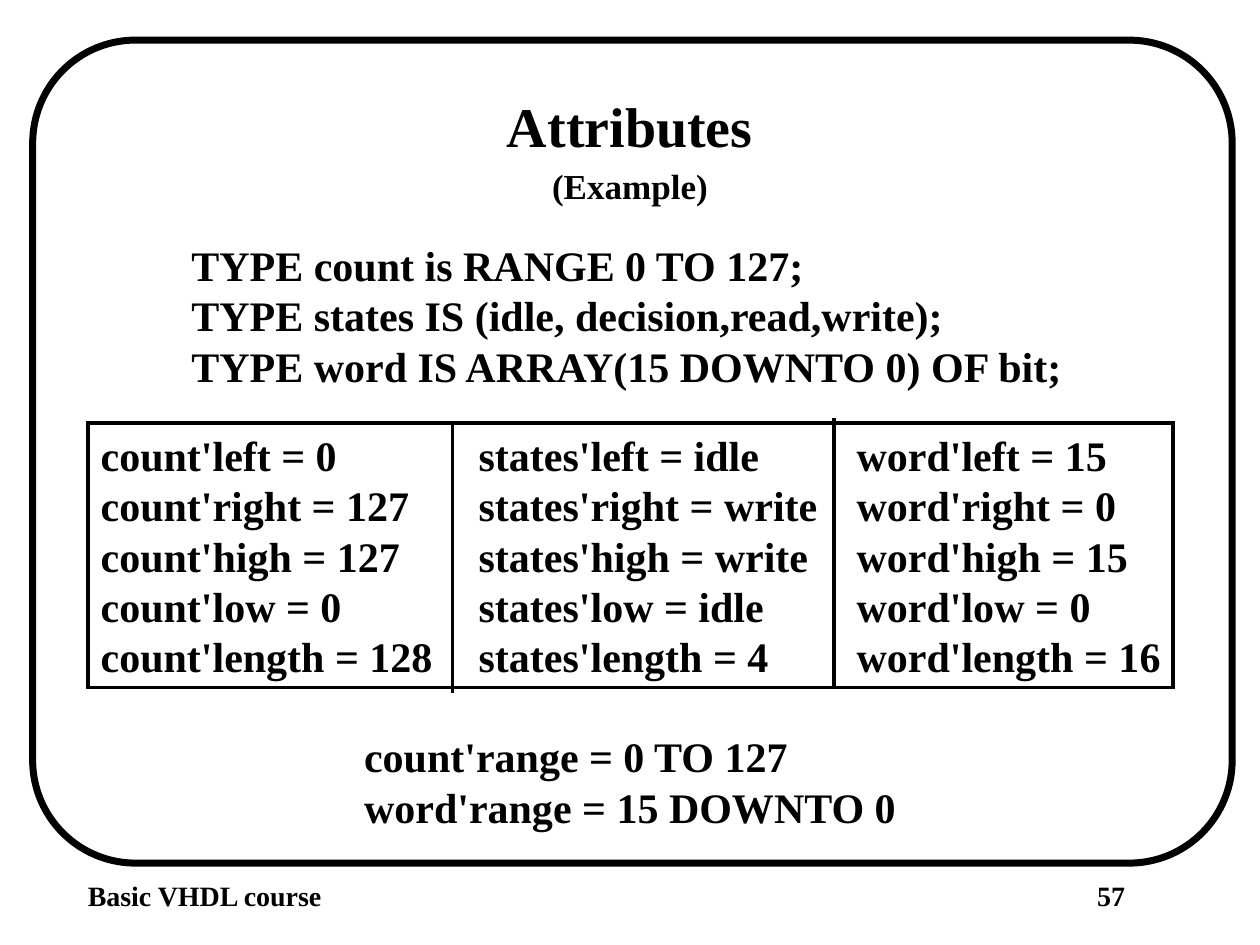
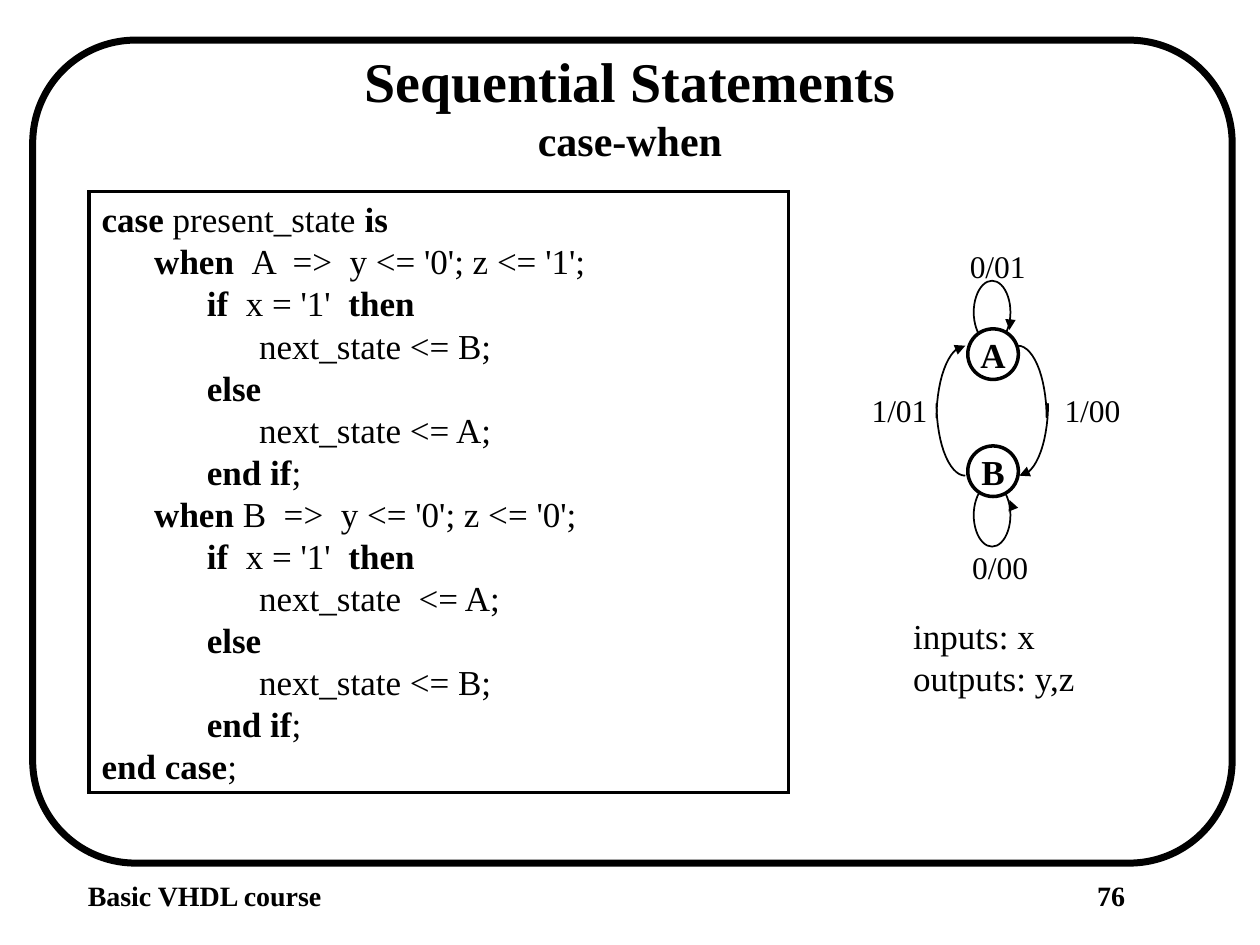
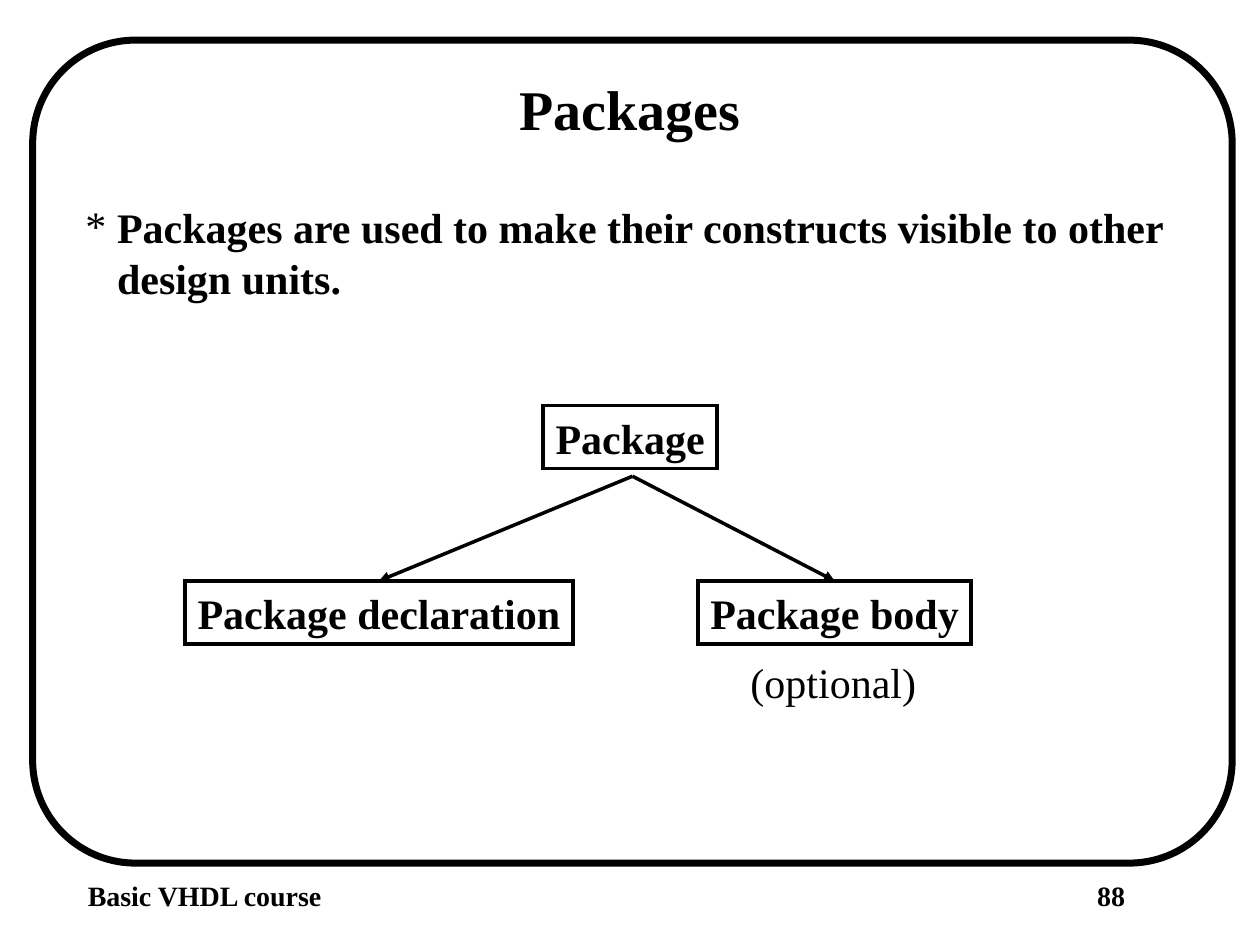
"""Builds three slides of a basic VHDL course: attributes, case-when and packages."""
from math import cos, radians, sin

from lxml import etree
from pptx import Presentation
from pptx.dml.color import RGBColor
from pptx.enum.shapes import MSO_CONNECTOR, MSO_SHAPE
from pptx.enum.text import MSO_ANCHOR, MSO_AUTO_SIZE, PP_ALIGN
from pptx.oxml.ns import qn
from pptx.util import Cm, Pt

STRAIGHT = MSO_CONNECTOR.STRAIGHT
RECTANGLE, ROUNDED, OVAL = MSO_SHAPE.RECTANGLE, MSO_SHAPE.ROUNDED_RECTANGLE, MSO_SHAPE.OVAL
LEFT, CENTER = PP_ALIGN.LEFT, PP_ALIGN.CENTER
MIDDLE = MSO_ANCHOR.MIDDLE
NO_AUTOFIT = MSO_AUTO_SIZE.NONE
FONT = "Times New Roman"
INK, PAPER = "000000", "FFFFFF"
SLIDE_WIDTH, SLIDE_HEIGHT = 25.4, 19.05


def write(shape, lines, size, bold=True, align=LEFT, wrap=False):
    """Fill a shape with lines; text between asterisks has the opposite weight."""
    frame = shape.text_frame
    frame.word_wrap = wrap
    frame.auto_size = NO_AUTOFIT
    frame.vertical_anchor = MIDDLE
    frame.margin_left = frame.margin_right = Cm(0.25)
    frame.margin_top = frame.margin_bottom = Cm(0.13)
    for number, line in enumerate(lines):
        paragraph = frame.add_paragraph() if number else frame.paragraphs[0]
        paragraph.alignment = align
        paragraph.space_before = Pt(0)
        for index, part in enumerate(line.split("*")):
            if part:
                run = paragraph.add_run()
                run.text = part
                run.font.name = FONT
                run.font.size = Pt(size)
                run.font.bold = bold != (index % 2 == 1)
                run.font.color.rgb = RGBColor.from_string(INK)


def outline(shape, width, fill=None, arrow=False):
    """Give a shape or connector a plain line, an optional fill and an arrowhead."""
    if fill:
        shape.fill.solid()
        shape.fill.fore_color.rgb = RGBColor.from_string(fill)
    elif hasattr(shape, "fill"):
        shape.fill.background()
    shape.line.color.rgb = RGBColor.from_string(INK)
    shape.line.width = Pt(width)
    properties = shape.element.spPr
    line = properties.find(qn("a:ln"))
    etree.SubElement(line, qn("a:miter"), lim="800000")
    if arrow:
        etree.SubElement(line, qn("a:tailEnd"), type="triangle")
    etree.SubElement(properties, qn("a:effectLst"))


presentation = Presentation()
presentation.slide_width, presentation.slide_height = Cm(SLIDE_WIDTH), Cm(SLIDE_HEIGHT)
TITLE_AND_BODY, TITLE_ONLY = presentation.slide_layouts[1], presentation.slide_layouts[5]

for layout, title, top, width, page in [
    (TITLE_ONLY, "Attributes", 1.73, 6.5, "57"),
    (TITLE_ONLY, "Sequential Statements", 0.81, 12.5, "76"),
    (TITLE_AND_BODY, "Packages", 1.37, 6, "88"),
]:
    slide = presentation.slides.add_slide(layout)
    heading = slide.shapes.title
    heading.left, heading.top = Cm((SLIDE_WIDTH - width) / 2), Cm(top)
    heading.width, heading.height = Cm(width), Cm(1.6)
    write(heading, [title], 32, align=CENTER)
    page_number = slide.shapes.add_textbox(Cm(21.87), Cm(17.6), Cm(3.05), Cm(0.91))
    write(page_number, [page], 16, wrap=True)

attributes, case_when, packages = presentation.slides

border = attributes.shapes.add_shape(ROUNDED, Cm(0.66), Cm(0.81), Cm(24.18), Cm(16.59))
border.adjustments[0] = 0.125
outline(border, 4)
footer = attributes.shapes.add_textbox(Cm(1.52), Cm(17.6), Cm(5.26), Cm(0.91))
write(footer, ["Basic VHDL course"], 16)
for shape_id, shared in enumerate([border, footer], start=100):
    shared.element.nvSpPr.cNvPr.set("id", str(shape_id))
    presentation.slide_master.shapes.element.append(shared.element)

declarations = [
    "TYPE count is RANGE 0 TO 127;",
    "TYPE states IS (idle, decision,read,write);",
    "TYPE word IS ARRAY(15 DOWNTO 0) OF bit;",
]
ranges = ["count'range = 0 TO 127", "word'range = 15 DOWNTO 0"]
signals = ["inputs: x", "outputs: y,z"]
for slide, left, top, width, height, lines, size, bold, align in [
    (attributes, 10.87, 3.2, 3.66, 1.09, ["(Example)"], 20, True, CENTER),
    (attributes, 3.61, 4.7, 18.21, 3.3, declarations, 24, True, LEFT),
    (attributes, 7.09, 14.6, 11.25, 2.29, ranges, 24, True, LEFT),
    (case_when, 10.59, 2.18, 4.22, 1.27, ["case-when"], 24, True, CENTER),
    (case_when, 21.21, 7.75, 1.63, 1.02, ["1/00"], 18, False, LEFT),
    (case_when, 17.32, 7.75, 1.63, 1.02, ["1/01"], 18, False, LEFT),
    (case_when, 19.3, 4.85, 1.63, 1.02, ["0/01"], 18, False, LEFT),
    (case_when, 19.35, 10.92, 1.63, 1.02, ["0/00"], 18, False, LEFT),
    (case_when, 18.16, 12.27, 3.81, 1.93, signals, 20, False, LEFT),
    (packages, 14.88, 13.11, 3.84, 1.27, ["(optional)"], 24, False, LEFT),
]:
    box = slide.shapes.add_textbox(Cm(left), Cm(top), Cm(width), Cm(height))
    write(box, lines, size, bold, align)

values = [
    "count'left = 0\tstates'left = idle\tword'left = 15",
    "count'right = 127\tstates'right = write\tword'right = 0",
    "count'high = 127\tstates'high = write\tword'high = 15",
    "count'low = 0\tstates'low = idle\tword'low = 0",
    "count'length = 128\tstates'length = 4\tword'length = 16",
]
value_box = attributes.shapes.add_shape(RECTANGLE, Cm(1.78), Cm(8.53), Cm(21.87), Cm(5.33))
outline(value_box, 2)
write(value_box, values, 24)
for paragraph in value_box.text_frame.paragraphs:
    tabs = etree.SubElement(paragraph._p.get_or_add_pPr(), qn("a:tabLst"))
    for position in (7.62, 15.24):
        etree.SubElement(tabs, qn("a:tab"), pos=str(Cm(position)), algn="l")
for x, top in [(9.12, 8.51), (16.81, 8.43)]:
    divider = attributes.shapes.add_connector(STRAIGHT, Cm(x), Cm(top), Cm(x), Cm(top + 5.46))
    outline(divider, 2)

code = [
    "*case* present_state *is*",
    "      *when  *A  =>  y <= '0'; z <= '1';",
    "            *if*  x = '1'  *then*",
    "                  next_state <= B;",
    "            *else*",
    "                  next_state <= A;",
    "            *end if*;",
    "      *when* B  =>  y <= '0'; z <= '0';",
    "            *if*  x = '1'  *then*",
    "                  next_state  <= A;",
    "            *else*",
    "                  next_state <= B;",
    "            *end if*;",
    "*end case*;",
]
code_box = case_when.shapes.add_shape(RECTANGLE, Cm(1.8), Cm(3.86), Cm(14.1), Cm(12.12))
outline(code_box, 2)
write(code_box, code, 20, bold=False, wrap=True)

for name, loop_top, state_top in [("A", 5.66, 6.63), ("B", 9.75, 8.99)]:
    loop = case_when.shapes.add_shape(OVAL, Cm(19.63), Cm(loop_top), Cm(0.74), Cm(1.27))
    outline(loop, 1)
    state = case_when.shapes.add_shape(OVAL, Cm(19.51), Cm(state_top), Cm(1.02), Cm(1.02))
    outline(state, 2, PAPER)
    write(state, [name], 20, align=CENTER)

for center_x, center_y, start, arrow in [
    (20.52, 8.43, -90, False),
    (20.55, 8.13, 0, True),
    (19.46, 8.13, 90, False),
    (19.46, 8.43, 180, True),
]:
    points = [
        (Cm(center_x + 0.58 * cos(radians(angle))), Cm(center_y + 1.46 * sin(radians(angle))))
        for angle in range(start, start + 91, 6)
    ]
    builder = case_when.shapes.build_freeform(*points[0])
    builder.add_line_segments(points[1:], close=False)
    outline(builder.convert_to_shape(), 1, arrow=arrow)

for start_y, end_y in [(6.43, 6.65), (10.13, 10.08)]:
    loop_arrow = case_when.shapes.add_connector(
        STRAIGHT, Cm(20.37), Cm(start_y), Cm(20.35), Cm(end_y))
    outline(loop_arrow, 1, arrow=True)

body = packages.placeholders[1]
body.left, body.top, body.width, body.height = Cm(1.47), Cm(3.94), Cm(22.48), Cm(2.29)
write(body, ["Packages are used to make their constructs visible to other design units."],
      24, wrap=True)
list_style = body.text_frame._txBody.find(qn("a:lstStyle"))
level = etree.SubElement(
    list_style, qn("a:lvl1pPr"), marL=str(Cm(0.64)), indent=str(Cm(-0.64)))
etree.SubElement(level, qn("a:buFont"), typeface=FONT)
etree.SubElement(level, qn("a:buChar"), char="*")
etree.SubElement(level, qn("a:defRPr"), b="1")

for name, left, top, width in [
    ("Package", 10.95, 8.18, 3.51),
    ("Package declaration", 3.73, 11.71, 7.82),
    ("Package body", 14.07, 11.71, 5.51),
]:
    box = packages.shapes.add_shape(RECTANGLE, Cm(left), Cm(top), Cm(width), Cm(1.27))
    outline(box, 2)
    write(box, [name], 24, align=CENTER)
    if name != "Package":
        branch = packages.shapes.add_connector(STRAIGHT, Cm(12.75), Cm(9.6), Cm(left), Cm(top))
        branch.end_connect(box, 0)
        outline(branch, 2, arrow=True)

presentation.save("out.pptx")
